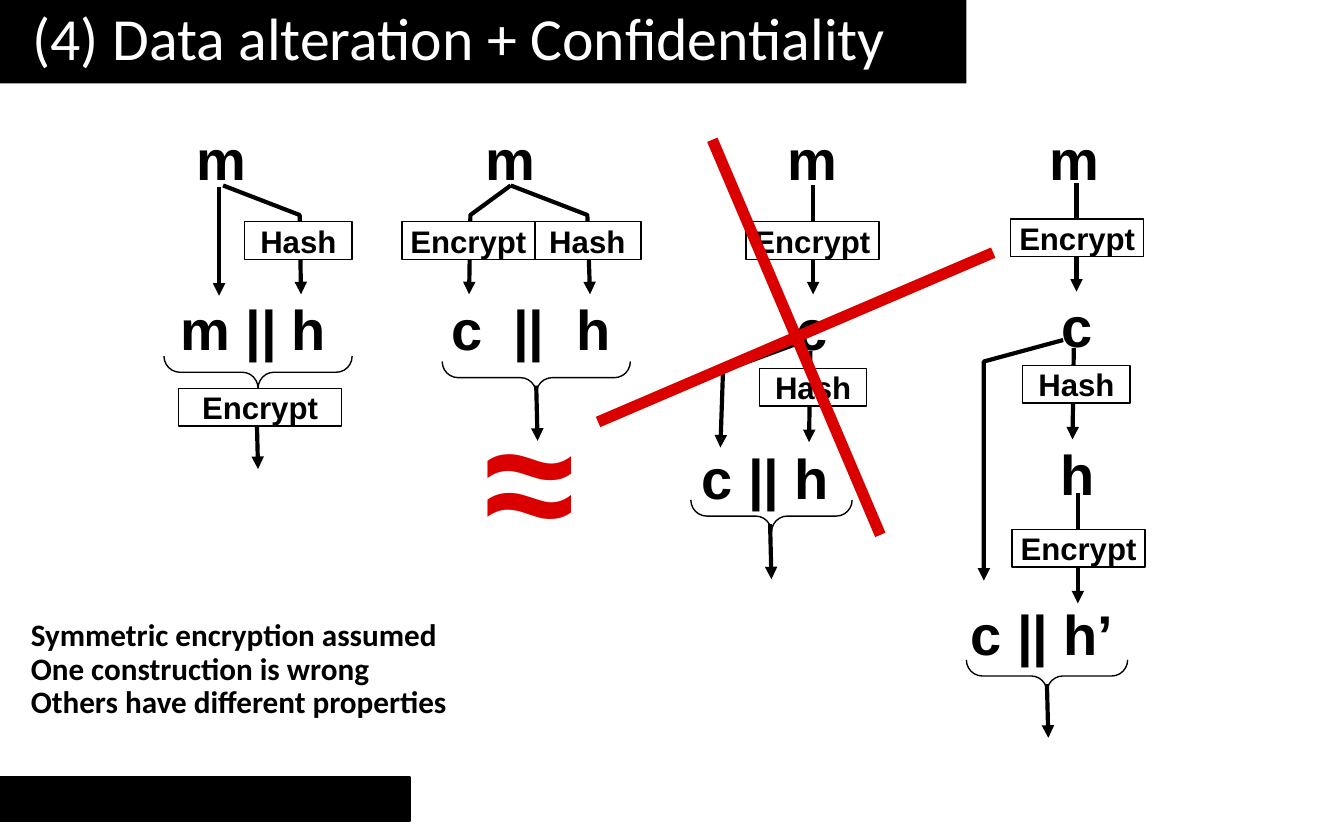
from lxml import etree
from pptx import Presentation
from pptx.dml.color import RGBColor
from pptx.enum.shapes import MSO_CONNECTOR as Connector, MSO_SHAPE as Shape
from pptx.enum.text import MSO_ANCHOR as Anchor, PP_ALIGN as Align
from pptx.oxml.ns import qn
from pptx.util import Inches, Pt

BLACK, WHITE, RED = "000000", "FFFFFF", "DA0000"
TITLE = "(4) Data alteration + Confidentiality"
NOTES = ["Symmetric encryption assumed", "One construction is wrong", "Others have different properties"]

BARS = [(0, 5.78, 3.05, 0.33), (0, 0, 7.19, 0.62)]
ARROWS = [
    [(1.91, 3.08), (1.92, 3.49)],
    [(1.63, 1.39), (1.63, 2.2)],
    [(1.66, 1.38), (2.23, 1.6), (2.24, 2.19)],
    [(3.8, 1.38), (3.5, 1.6), (3.49, 2.19)],
    [(3.8, 1.38), (4.37, 1.6), (4.39, 2.19)],
    [(3.99, 2.87), (4, 3.28)],
    [(6.05, 1.38), (6.05, 2.19)],
    [(5.95, 2.55), (5.38, 2.76), (5.36, 3.33)],
    [(6.03, 2.61), (6.02, 3.29)],
    [(5.73, 3.9), (5.74, 4.31)],
    [(8.01, 1.36), (8.01, 2.17)],
    [(7.91, 2.53), (7.32, 2.69), (7.32, 4.32)],
    [(7.99, 2.59), (7.98, 3.27)],
    [(8.02, 3.67), (8.02, 4.49)],
    [(7.79, 5.09), (7.8, 5.49)],
]
LABELS = [
    ("Hash", 1.82, 1.65, 0.8), ("Encrypt", 1.33, 2.89, 1.21),
    ("Hash", 3.97, 1.65, 0.8), ("Encrypt", 2.99, 1.65, 0.99),
    ("Encrypt", 5.55, 1.65, 0.99), ("Hash", 5.65, 2.74, 0.8),
    ("Encrypt", 7.52, 1.63, 0.99), ("Hash", 7.61, 2.72, 0.8),
    ("Encrypt", 7.53, 3.94, 0.99),
]
CENTRED_SYMBOLS = [
    ("m", 1.34, 0.88, 0.61), ("m", 3.49, 0.88, 0.61), ("m", 5.74, 0.88, 0.61), ("m", 7.69, 0.88, 0.61),
    ("m ||", 1.28, 2.14, 0.84), ("h", 1.99, 2.14, 0.61),
    ("c", 5.27, 2.14, 1.55), ("c", 7.24, 2.12, 1.55),
]
LEFT_SYMBOLS = [
    ("c\t||\th", 3.36, 2.14, 1.37), ("c || h", 5.22, 3.25, 1.55),
    ("h", 7.89, 3.22, 0.3), ("c || h’", 7.22, 4.41, 1.55),
]
SYMBOL_TABS = [0.46, 0.93]
SYMBOL_DROP = 0.05
BRACES = [(1.92, 2.77, 1.4), (3.99, 2.81, 1.4), (5.74, 3.84, 1.2), (7.79, 5.03, 1.2)]
BRACE_DEPTH = 0.24
CROSS = [[(5.3, 1.04), (6.55, 3.98)], [(4.45, 3.14), (7.39, 1.88)]]

SYMBOL = {"name": "Arial", "size": Pt(30), "bold": True}
LABEL = {"name": "Arial", "size": Pt(16.7), "bold": True}
NOTE = {"name": "Calibri", "size": Pt(16.7), "bold": True}
HEADING = {"name": "Calibri", "size": Pt(32), "bold": False}
APPROX = {"name": "Arial", "size": Pt(88.3), "bold": True}


def color(value):
    return RGBColor.from_string(value)


def inches(values):
    return [Inches(value) for value in values]


def write(box, lines, style, ink=BLACK, align=Align.LEFT, anchor=Anchor.TOP, insets=(0, 0, 0, 0), spacing=None, tabs=()):
    frame = box.text_frame
    frame.word_wrap = True
    frame.vertical_anchor = anchor
    for side, inset in zip(("left", "top", "right", "bottom"), insets):
        setattr(frame, f"margin_{side}", Inches(inset))
    for index, line in enumerate(lines):
        para = frame.add_paragraph() if index else frame.paragraphs[0]
        para.alignment = align
        para.line_spacing = spacing
        if tabs:
            stops = etree.SubElement(para._p.get_or_add_pPr(), qn("a:tabLst"))
            for tab in tabs:
                etree.SubElement(stops, qn("a:tab"), pos=str(Inches(tab)), algn="l")
        span = para.add_run()
        span.text = line
        for name, value in style.items():
            setattr(span.font, name, value)
        span.font.color.rgb = color(ink)


def add_text(place, lines, style, **options):
    box = page.shapes.add_textbox(*inches(place))
    write(box, lines, style, **options)


def add_box(place, fill, kind=Shape.RECTANGLE, weight=0.75):
    box = page.shapes.add_shape(kind, *inches(place))
    box.shadow.inherit = False
    if fill:
        box.fill.solid()
        box.fill.fore_color.rgb = color(fill)
    else:
        box.fill.background()
    box.line.color.rgb = color(BLACK)
    box.line.width = Pt(weight)
    return box


def add_path(points, ink=BLACK, weight=2.25, arrow=True):
    if len(points) == 2:
        path = page.shapes.add_connector(Connector.STRAIGHT, *inches(points[0] + points[1]))
        etree.SubElement(path._element.spPr, qn("a:effectLst"))
    else:
        builder = page.shapes.build_freeform(*inches(points[0]), scale=1.0)
        builder.add_line_segments([inches(point) for point in points[1:]], close=False)
        path = builder.convert_to_shape()
        path.shadow.inherit = False
        path.fill.background()
    path.line.color.rgb = color(ink)
    path.line.width = Pt(weight)
    if arrow:
        etree.SubElement(path.line._get_or_add_ln(), qn("a:tailEnd"), type="triangle")


deck = Presentation()
deck.slide_width, deck.slide_height = Inches(10), Inches(6.25)
page = deck.slides.add_slide(deck.slide_layouts[6])

footer, header = [add_box(place, BLACK, weight=1) for place in BARS]
header.line.fill.background()
write(header, [TITLE], HEADING, ink=WHITE, anchor=Anchor.MIDDLE, insets=(0.24, 0, 0.1, 0.08))
add_text((0.23, 4.61, 5.9, 1.15), NOTES, NOTE, spacing=0.9)

for points in ARROWS:
    add_path(points)
for center, middle, span_width in BRACES:
    place = (center - BRACE_DEPTH / 2, middle - span_width / 2, BRACE_DEPTH, span_width)
    brace = add_box(place, None, Shape.RIGHT_BRACE)
    brace.rotation = 90
    brace.adjustments[0] = 0.49
for text, left, top, width in LABELS:
    label = add_box((left, top, width, 0.28), WHITE)
    write(label, [text], LABEL, align=Align.CENTER, anchor=Anchor.MIDDLE)
for align, symbols in ((Align.CENTER, CENTRED_SYMBOLS), (Align.LEFT, LEFT_SYMBOLS)):
    for text, left, top, width in symbols:
        tabs = SYMBOL_TABS if "\t" in text else ()
        add_text((left, top + SYMBOL_DROP, width, 0.5), [text], SYMBOL, align=align, tabs=tabs)
for points in CROSS:
    add_path(points, RED, 6, False)
add_text((3.51, 2.75, 0.96, 1.59), ["≈"], APPROX, ink=RED, insets=(0.1, 0.05, 0.1, 0.05))

deck.save("out.pptx")
